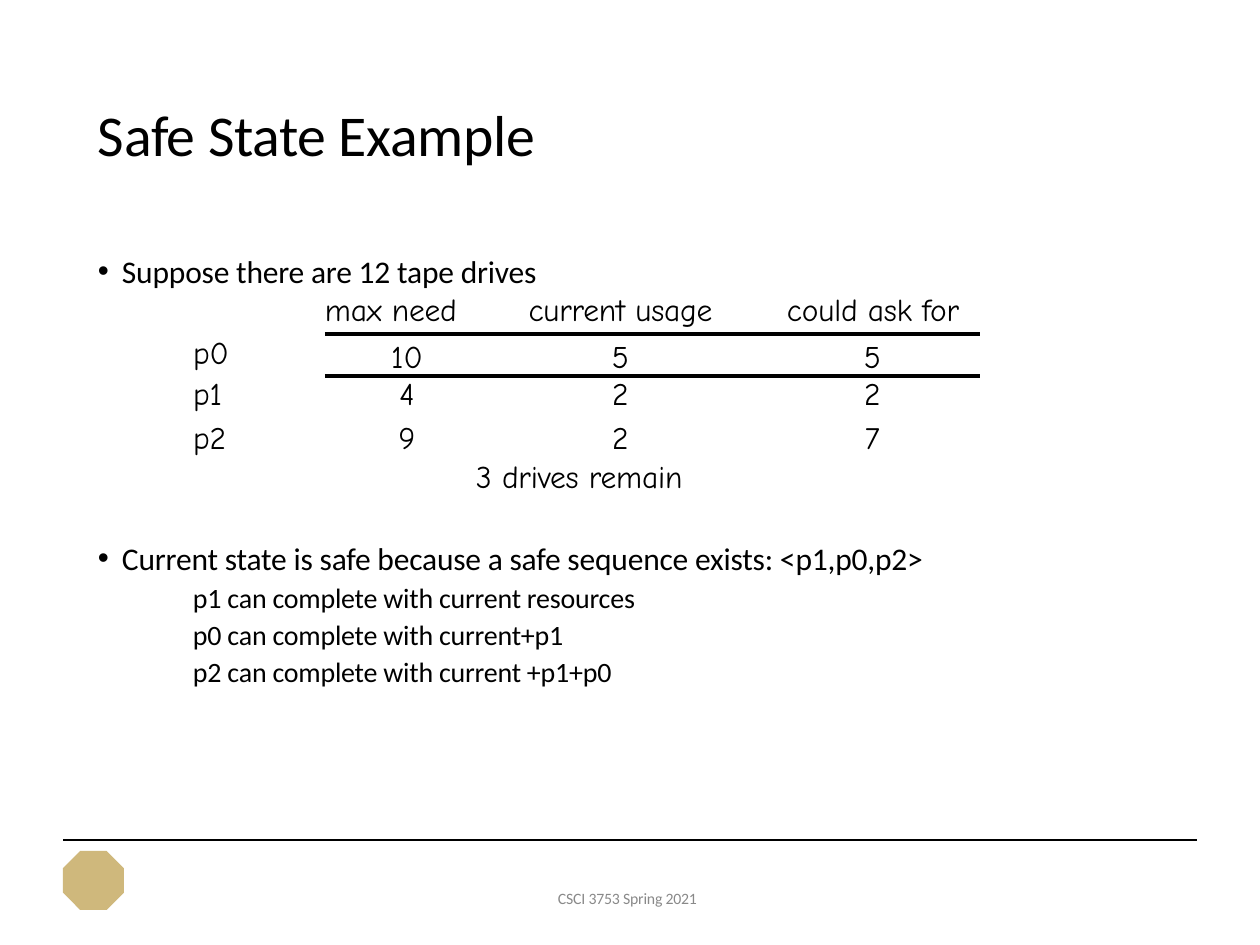
from lxml import etree
from pptx import Presentation
from pptx.dml.color import RGBColor
from pptx.enum.shapes import MSO_CONNECTOR, MSO_SHAPE
from pptx.enum.text import MSO_ANCHOR, MSO_AUTO_SIZE, PP_ALIGN
from pptx.oxml.ns import qn
from pptx.util import Pt

EMU_PER_INCH = 914400
PX_PER_INCH = 126
BLACK = RGBColor(0x00, 0x00, 0x00)
GRAY = RGBColor(0x89, 0x89, 0x89)
GOLD = RGBColor(0xCF, 0xB8, 0x7C)
LEFT, CENTER = PP_ALIGN.LEFT, PP_ALIGN.CENTER
TOP = MSO_ANCHOR.TOP
NO_FIT = MSO_AUTO_SIZE.NONE
STRAIGHT = MSO_CONNECTOR.STRAIGHT
OCTAGON = MSO_SHAPE.OCTAGON
NO_STYLE = "{2D5ABB26-0587-4C30-8999-92F81FD0307C}"

TITLE = {"name": "Calibri", "size": Pt(33)}
BODY = {"name": "Calibri", "size": Pt(18)}
SUB = {"name": "Calibri", "size": Pt(16)}
HAND = {"name": "Comic Neue", "size": Pt(18)}
FOOTER = {"name": "Calibri", "size": Pt(9)}

HEADER = ["", "max need", "current usage", "could ask for"]
ROWS = [["p0", "10", "5", "5"], ["p1", "4", "2", "2"], ["p2", "9", "2", "7"]]
COL_WIDTHS = [136, 164, 263, 228]
ROW_HEIGHTS = [44, 42, 42, 43]
LABEL_MARGINS = [4, 1, 1, 3]
VALUE_MARGINS = [4, 5, 1, 3]
LINE_SPACING = [Pt(20.1), Pt(21.2), 1.0, 1.0]


def px(n):
    return round(n * EMU_PER_INCH / PX_PER_INCH)


def place(sp, box):
    for name, value in zip(("left", "top", "width", "height"), box):
        setattr(sp, name, px(value))


def set_attrs(obj, values):
    for name, value in values.items():
        setattr(obj, name, value)


def prepare_frame(tf):
    set_attrs(tf, {"margin_left": 0, "margin_right": 0, "margin_top": px(1),
                   "margin_bottom": 0, "word_wrap": True,
                   "auto_size": NO_FIT, "vertical_anchor": TOP})


def write(p, text, font, color=BLACK, align=LEFT, margin=0, indent=0,
          bullet=False, before=0, spacing=1.0, track=-10):
    pPr = p._p.get_or_add_pPr()
    pPr.set("marL", str(px(margin)))
    pPr.set("indent", str(px(indent)))
    if bullet:
        etree.SubElement(pPr, qn("a:buChar")).set("char", "•")
    else:
        etree.SubElement(pPr, qn("a:buNone"))
    set_attrs(p, {"alignment": align, "space_before": Pt(before),
                  "space_after": Pt(0), "line_spacing": spacing})
    r = p.add_run()
    r.text = text
    set_attrs(r.font, font)
    r.font.color.rgb = color
    r._r.get_or_add_rPr().set("spc", str(track))


def fill_title(sp, box):
    place(sp, box)
    prepare_frame(sp.text_frame)
    write(sp.text_frame.paragraphs[0], "Safe State Example", TITLE,
          margin=1, track=-20)


def fill_body(sp, box, items):
    place(sp, box)
    tf = sp.text_frame
    prepare_frame(tf)
    for i, (text, font, options) in enumerate(items):
        p = tf.add_paragraph() if i else tf.paragraphs[0]
        write(p, text, font, **options)


def add_bottom_border(cell):
    tcPr = cell._tc.get_or_add_tcPr()
    ln = etree.Element(qn("a:lnB"), w=str(Pt(2.25)))
    fill = etree.SubElement(ln, qn("a:solidFill"))
    etree.SubElement(fill, qn("a:srgbClr"), val=str(BLACK))
    tcPr.insert(0, ln)


def add_drive_table(s, left, top):
    gf = s.shapes.add_table(len(ROW_HEIGHTS), len(COL_WIDTHS), px(left), px(top),
                            px(sum(COL_WIDTHS)), px(sum(ROW_HEIGHTS)))
    table = gf.table
    set_attrs(table, {"first_row": False, "horz_banding": False})
    table._tbl.tblPr.find(qn("a:tableStyleId")).text = NO_STYLE
    for col, width in zip(table.columns, COL_WIDTHS):
        col.width = px(width)
    for row, height in zip(table.rows, ROW_HEIGHTS):
        row.height = px(height)
    indents = {(0, 3): 35}
    for i, values in enumerate([HEADER] + ROWS):
        for j, text in enumerate(values):
            cell = table.cell(i, j)
            margins = VALUE_MARGINS if j else LABEL_MARGINS
            set_attrs(cell, {"margin_left": 0, "margin_right": 0,
                             "margin_top": px(margins[i]), "margin_bottom": 0,
                             "vertical_anchor": TOP})
            cell.fill.background()
            centered = j == 2 or (i > 0 and j > 0)
            indent = indents.get((i, j), (4, 0, 0, 13)[j])
            write(cell.text_frame.paragraphs[0], text, HAND,
                  align=CENTER if centered else LEFT, margin=indent,
                  spacing=LINE_SPACING[i], track=0 if i else -10)
            if i < 2 and j:
                add_bottom_border(cell)


def add_footer(s, left, top, width):
    rule = s.shapes.add_connector(STRAIGHT, px(left), px(top),
                                  px(left + width), px(top))
    rule.line.color.rgb = BLACK
    rule.line.width = Pt(1)
    etree.SubElement(rule._element.spPr, qn("a:effectLst"))

    emblem = s.shapes.add_shape(OCTAGON, px(left), px(top + 11), px(61), px(59))
    emblem.shadow.inherit = False
    emblem.fill.solid()
    emblem.fill.fore_color.rgb = GOLD
    emblem.line.fill.background()

    course = s.shapes.add_textbox(px(left + 494), px(top + 48), px(160), px(21))
    prepare_frame(course.text_frame)
    write(course.text_frame.paragraphs[0], "CSCI 3753 Spring 2021", FOOTER,
          color=GRAY, margin=1)


def build_slide(prs):
    s = prs.slides.add_slide(prs.slide_layouts[3])
    title, supply, sequence = s.placeholders
    bullet = {"bullet": True, "margin": 25, "indent": -24}
    step = {"margin": 96, "spacing": 1.1}
    add_footer(s, 63, 840, 1134)
    fill_title(title, (97, 98, 600, 73))
    fill_body(supply, (97, 251, 600, 42),
              [("Suppose there are 12 tape drives", BODY, bullet)])
    add_drive_table(s, 189, 290)
    fill_body(sequence, (97, 456, 960, 242), [
        ("3 drives remain", HAND, {"margin": 379}),
        ("Current state is safe because a safe sequence exists: <p1,p0,p2>",
         BODY, {**bullet, "before": 25}),
        ("p1 can complete with current resources", SUB, {**step, "before": 0.6}),
        ("p0 can complete with current+p1", SUB, step),
        ("p2 can complete with current +p1+p0", SUB, {"margin": 96, "before": 1.7}),
    ])


def main():
    prs = Presentation()
    prs.slide_width = px(1260)
    prs.slide_height = px(945)
    build_slide(prs)
    prs.save("out.pptx")


if __name__ == "__main__":
    main()
